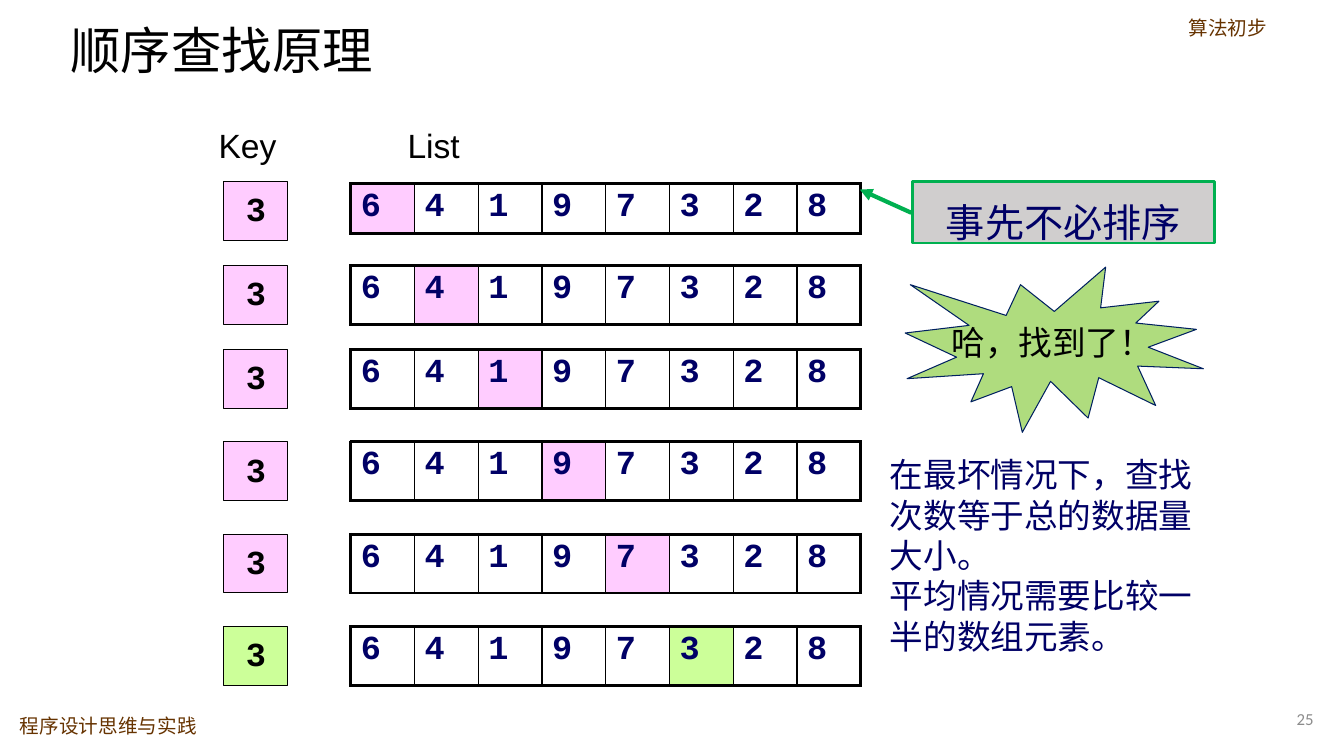
import pptx
import pptx.dml.color
import pptx.enum.shapes
import pptx.enum.text
import pptx.oxml
import pptx.oxml.ns
import pptx.util
from dataclasses import dataclass

Pt = pptx.util.Pt
ALIGN = pptx.enum.text.PP_ALIGN
ANCHOR = pptx.enum.text.MSO_ANCHOR
SHAPE = pptx.enum.shapes.MSO_SHAPE

# Content
TITLE = "顺序查找原理"
COURSE = "程序设计思维与实践"
CHAPTER = "算法初步"
PAGE_NUMBER = "25"
KEY = 3
VALUES = [6, 4, 1, 9, 7, 3, 2, 8]
NO_SORTING = "事先不必排序"
FOUND = "哈，找到了！"
CONCLUSIONS = [
    "在最坏情况下，查找次数等于总的数据量大小。",
    "平均情况需要比较一半的数组元素。",
]


@dataclass(frozen=True)
class Theme:
    black: str = "000000"
    navy: str = "000066"
    brown: str = "663300"
    grey: str = "8C8C8C"
    checking: str = "FFCCFF"
    match: str = "CCFF99"
    burst: str = "AFDC7E"
    burst_line: str = "002060"
    green: str = "00B050"
    note: str = "D0CECE"
    sans: str = "Arial"
    title_font: str = "Calibri"
    chinese: str = "Noto Sans CJK SC"
    mono: str = "Courier New"
    title_size: int = 36
    note_size: int = 28
    body_size: int = 24
    header_size: int = 14
    number_size: int = 12


theme = Theme()

# Geometry in points
STEP_TOPS = [129.6, 189.6, 249.6, 315.6, 381.6, 447.6]
KEY_LEFT, KEY_WIDTH, ROW_HEIGHT = 160, 45.6, 42
LIST_LEFT, CELL_WIDTH = 250.6, 45.54
FIRST_LIST_TOP, FIRST_LIST_HEIGHT = 131, 36

presentation = pptx.Presentation()
presentation.slide_width, presentation.slide_height = Pt(960), Pt(540)
slide = presentation.slides.add_slide(presentation.slide_layouts[5])


def rgb(color):
    return pptx.dml.color.RGBColor.from_string(color)


def write(frame, lines, size, color, font, bold=False, align=ALIGN.LEFT,
          spacing=0.9, after=0, anchor=ANCHOR.TOP, wrap=True):
    frame.word_wrap = wrap
    frame.vertical_anchor = anchor
    frame.text = "\n".join(lines)
    for paragraph in frame.paragraphs:
        format_paragraph(paragraph, size, color, font, bold, align, spacing, after)


def format_paragraph(paragraph, size, color, font, bold, align, spacing, after):
    paragraph.alignment = align
    paragraph.line_spacing = spacing
    paragraph.space_before = Pt(0)
    paragraph.space_after = Pt(after)
    paragraph.font.size = Pt(size)
    paragraph.font.bold = bold
    paragraph.font.color.rgb = rgb(color)
    paragraph.font.name = font
    # East Asian typeface for the Chinese characters
    defaults = paragraph._p.pPr.find(pptx.oxml.ns.qn("a:defRPr"))
    defaults.append(pptx.oxml.parse_xml(
        f'<a:ea {pptx.oxml.ns.nsdecls("a")} typeface="{theme.chinese}"/>'))


def add_text(box, lines, size, color, font, **options):
    text_box = slide.shapes.add_textbox(*map(Pt, box))
    write(text_box.text_frame, lines, size, color, font, **options)


def add_filled(kind, box, fill, line, line_width):
    shape = slide.shapes.add_shape(kind, *map(Pt, box))
    shape.shadow.inherit = False
    shape.fill.solid()
    shape.fill.fore_color.rgb = rgb(fill)
    shape.line.color.rgb = rgb(line)
    shape.line.width = Pt(line_width)
    return shape


def add_borders(cell, first, last):
    widths = {"lnL": 2.25 if first else 1, "lnR": 2.25 if last else 1,
              "lnT": 2.25, "lnB": 2.25}
    properties = cell._tc.get_or_add_tcPr()
    for side, width in widths.items():
        properties.append(pptx.oxml.parse_xml(
            f'<a:{side} {pptx.oxml.ns.nsdecls("a")} w="{int(Pt(width))}">'
            f'<a:solidFill><a:srgbClr val="{theme.black}"/></a:solidFill></a:{side}>'))


def add_list(top, height, current, highlight):
    frame = slide.shapes.add_table(
        1, len(VALUES), Pt(LIST_LEFT), Pt(top),
        Pt(CELL_WIDTH * len(VALUES)), Pt(height))
    table = frame.table
    table.first_row = table.horz_banding = False
    for index, value in enumerate(VALUES):
        table.columns[index].width = Pt(CELL_WIDTH)
        cell = table.cell(0, index)
        add_borders(cell, index == 0, index == len(VALUES) - 1)
        if index == current:
            cell.fill.solid()
            cell.fill.fore_color.rgb = rgb(highlight)
        else:
            cell.fill.background()
        write(cell.text_frame, [str(value)], theme.body_size, theme.navy,
              theme.mono, bold=True, spacing=0.95)


# Header, title and footer
add_text((7.2, 508.3, 180, 23), [COURSE], theme.header_size, theme.brown, theme.sans)
add_text((842, 9.4, 111, 28), [CHAPTER], theme.header_size, theme.brown, theme.chinese)
title = slide.shapes.title
title.left, title.top, title.width, title.height = map(Pt, (43.2, 18, 665.3, 39.6))
write(title.text_frame, [TITLE], theme.title_size, theme.black, theme.title_font,
      anchor=ANCHOR.MIDDLE)
add_text((849.6, 502.6, 95.8, 22.3), [PAGE_NUMBER], theme.number_size, theme.grey,
         theme.title_font, align=ALIGN.RIGHT, spacing=1, anchor=ANCHOR.MIDDLE)

# Column headings
for heading, left, width in [("Key", 149, 95), ("List", 284, 190)]:
    add_text((left, 88.6, width, 34), [heading], theme.body_size, theme.black,
             theme.sans, after=5.9)

# One search step per row: the key beside the list, until they agree
for step, top in enumerate(STEP_TOPS):
    highlight = theme.match if VALUES[step] == KEY else theme.checking
    key_box = add_filled(SHAPE.RECTANGLE, (KEY_LEFT, top, KEY_WIDTH, ROW_HEIGHT),
                         highlight, theme.black, 0.75)
    write(key_box.text_frame, [str(KEY)], theme.body_size, theme.black, theme.mono,
          bold=True, align=ALIGN.CENTER, after=5.9, anchor=ANCHOR.MIDDLE, wrap=False)
    if step == 0:
        add_list(FIRST_LIST_TOP, FIRST_LIST_HEIGHT, step, highlight)
    else:
        add_list(top, ROW_HEIGHT, step, highlight)

# Found burst
burst = add_filled(SHAPE.EXPLOSION1, (646.6, 190.8, 213, 118), theme.burst,
                   theme.burst_line, 0.75)
write(burst.text_frame, [FOUND], theme.body_size, theme.black, theme.chinese,
      align=ALIGN.CENTER, after=5.9, anchor=ANCHOR.MIDDLE, wrap=False)

# Note with its arrow to the list
arrow = slide.shapes.add_connector(
    pptx.enum.shapes.MSO_CONNECTOR.STRAIGHT, Pt(651), Pt(152), Pt(614.2), Pt(135.4))
arrow.line.color.rgb = rgb(theme.green)
arrow.line.width = Pt(3)
arrow.line._get_or_add_ln().append(pptx.oxml.parse_xml(
    f'<a:tailEnd {pptx.oxml.ns.nsdecls("a")} type="triangle"/>'))
arrow._element.spPr.append(pptx.oxml.parse_xml(
    f'<a:effectLst {pptx.oxml.ns.nsdecls("a")}/>'))
note = add_filled(SHAPE.RECTANGLE, (651.6, 129.6, 216, 44), theme.note, theme.green, 2)
write(note.text_frame, [NO_SORTING], theme.note_size, theme.navy, theme.chinese,
      align=ALIGN.CENTER, spacing=1.25, after=5.9)

# Conclusions
add_text((628.6, 321, 242.6, 152.6), CONCLUSIONS, theme.body_size, theme.navy,
         theme.chinese, spacing=1)

presentation.save("out.pptx")
